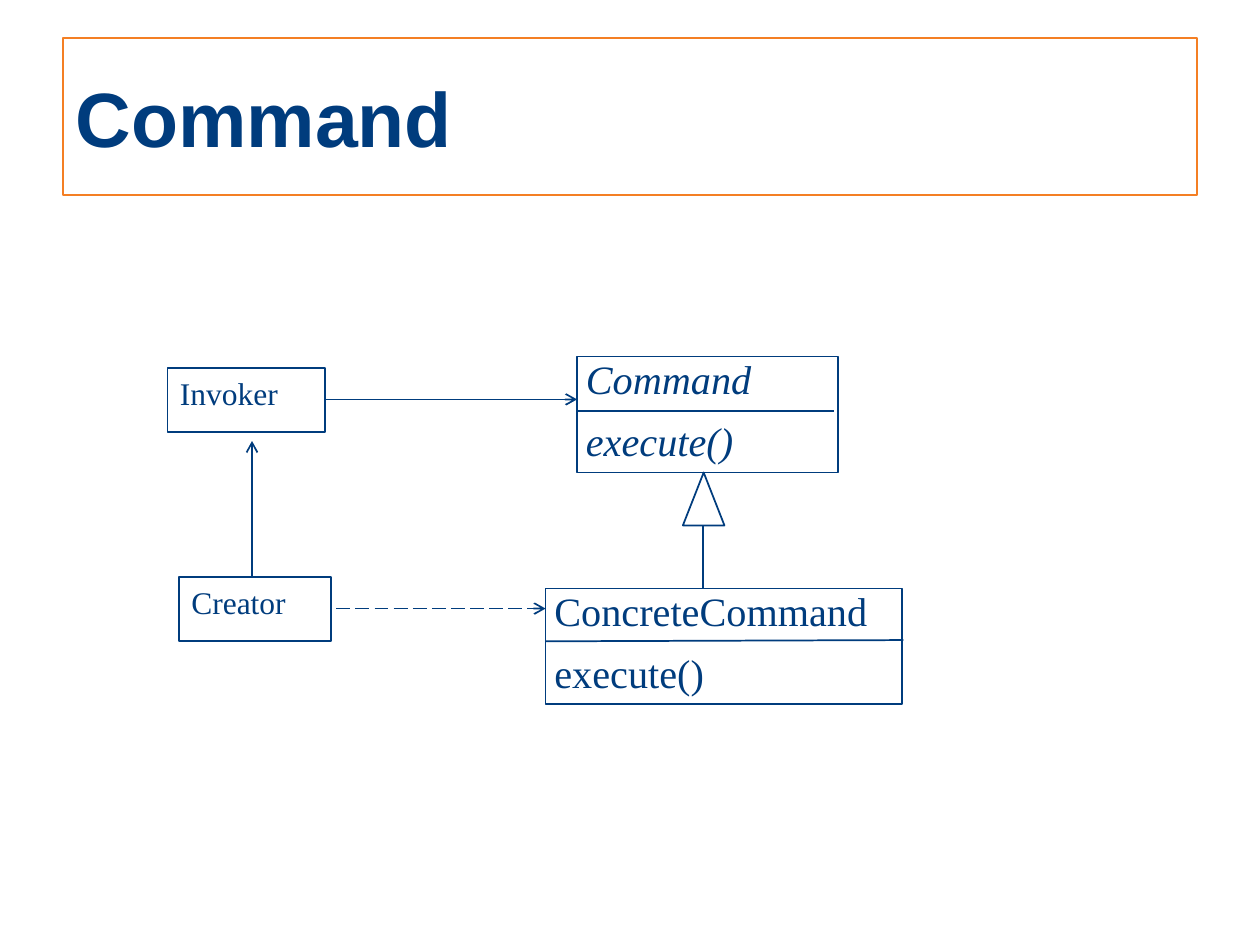
from lxml.etree import SubElement
from pptx import Presentation
from pptx.dml.color import RGBColor
from pptx.enum.dml import MSO_LINE
from pptx.enum.shapes import MSO_CONNECTOR, MSO_SHAPE
from pptx.enum.text import MSO_ANCHOR, PP_ALIGN
from pptx.oxml.ns import qn
from pptx.util import Inches, Pt

COLORS = {"navy": "003C7D", "orange": "F47F24"}
TITLE = ("Command", (0.5, 0.3, 9, 1.25))
CLASSES = [
    {"lines": ["ConcreteCommand", "execute()"], "area": (4.33, 4.67, 2.83, 0.92),
     "divider": ((4.33, 5.09), (7.17, 5.08)), "italic": False},
    {"lines": ["Command", "execute()"], "area": (4.58, 2.83, 2.07, 0.92),
     "divider": ((4.58, 3.26), (6.62, 3.26)), "italic": True},
]
ROLES = [
    ("Invoker", (1.33, 2.92, 1.25, 0.51)),
    ("Creator", (1.42, 4.58, 1.21, 0.51)),
]
INHERITANCE_HEAD = (5.42, 3.75, 0.33, 0.42)
INHERITANCE_STEM = ((5.58, 4.17), (5.58, 4.67))
ARROWS = [
    ((2.58, 3.17), (4.58, 3.17), None),
    ((2.67, 4.83), (4.33, 4.83), MSO_LINE.LONG_DASH),
    ((2, 4.58), (2, 3.5), None),
]


def set_line(line, color="navy"):
    line.color.rgb = RGBColor.from_string(COLORS[color])
    line.width = Pt(1)


def write_text(box, lines, size=18, font="Times New Roman", bold=False, italic=False,
               margins=(0.1, 0.05), spacing=None, gap=0, anchor=MSO_ANCHOR.TOP):
    frame = box.text_frame
    frame.word_wrap = True
    frame.vertical_anchor = anchor
    frame.margin_left = frame.margin_right = Inches(margins[0])
    frame.margin_top = frame.margin_bottom = Inches(margins[1])
    for index, text in enumerate(lines):
        para = frame.add_paragraph() if index else frame.paragraphs[0]
        para.alignment = PP_ALIGN.LEFT
        para.line_spacing = spacing
        para.space_before = Pt(gap if index else 0)
        span = para.add_run()
        span.text = text
        span.font.name = font
        span.font.size = Pt(size)
        span.font.bold = bold
        span.font.italic = italic
        span.font.color.rgb = RGBColor.from_string(COLORS["navy"])


def add_outline(page, area, kind=MSO_SHAPE.RECTANGLE):
    box = page.shapes.add_shape(kind, *map(Inches, area))
    box.shadow.inherit = False
    box.fill.background()
    set_line(box.line)
    return box


def add_line(page, start, end, dash=None, arrow=False):
    line = page.shapes.add_connector(MSO_CONNECTOR.STRAIGHT, *map(Inches, start + end))
    set_line(line.line)
    if dash:
        line.line.dash_style = dash
    if arrow:
        SubElement(line.line._get_or_add_ln(), qn("a:tailEnd"), type="arrow")
    SubElement(line._element.spPr, qn("a:effectLst"))


def main():
    deck = Presentation()
    deck.slide_width, deck.slide_height = Inches(10), Inches(7.5)
    page = deck.slides.add_slide(deck.slide_layouts[5])

    text, area = TITLE
    title = page.shapes.title
    title.left, title.top, title.width, title.height = map(Inches, area)
    set_line(title.line, "orange")
    write_text(title, [text], size=44, font="Arial", bold=True, anchor=MSO_ANCHOR.MIDDLE)

    for item in CLASSES:
        box = add_outline(page, item["area"])
        write_text(box, item["lines"], size=23, italic=item["italic"],
                   margins=(0.07, 0.03), spacing=0.89, gap=11)
        add_line(page, *item["divider"])

    add_outline(page, INHERITANCE_HEAD, MSO_SHAPE.ISOSCELES_TRIANGLE)
    add_line(page, *INHERITANCE_STEM)

    for name, area in ROLES:
        write_text(add_outline(page, area), [name])
    for start, end, dash in ARROWS:
        add_line(page, start, end, dash, arrow=True)

    deck.save("out.pptx")


if __name__ == "__main__":
    main()
